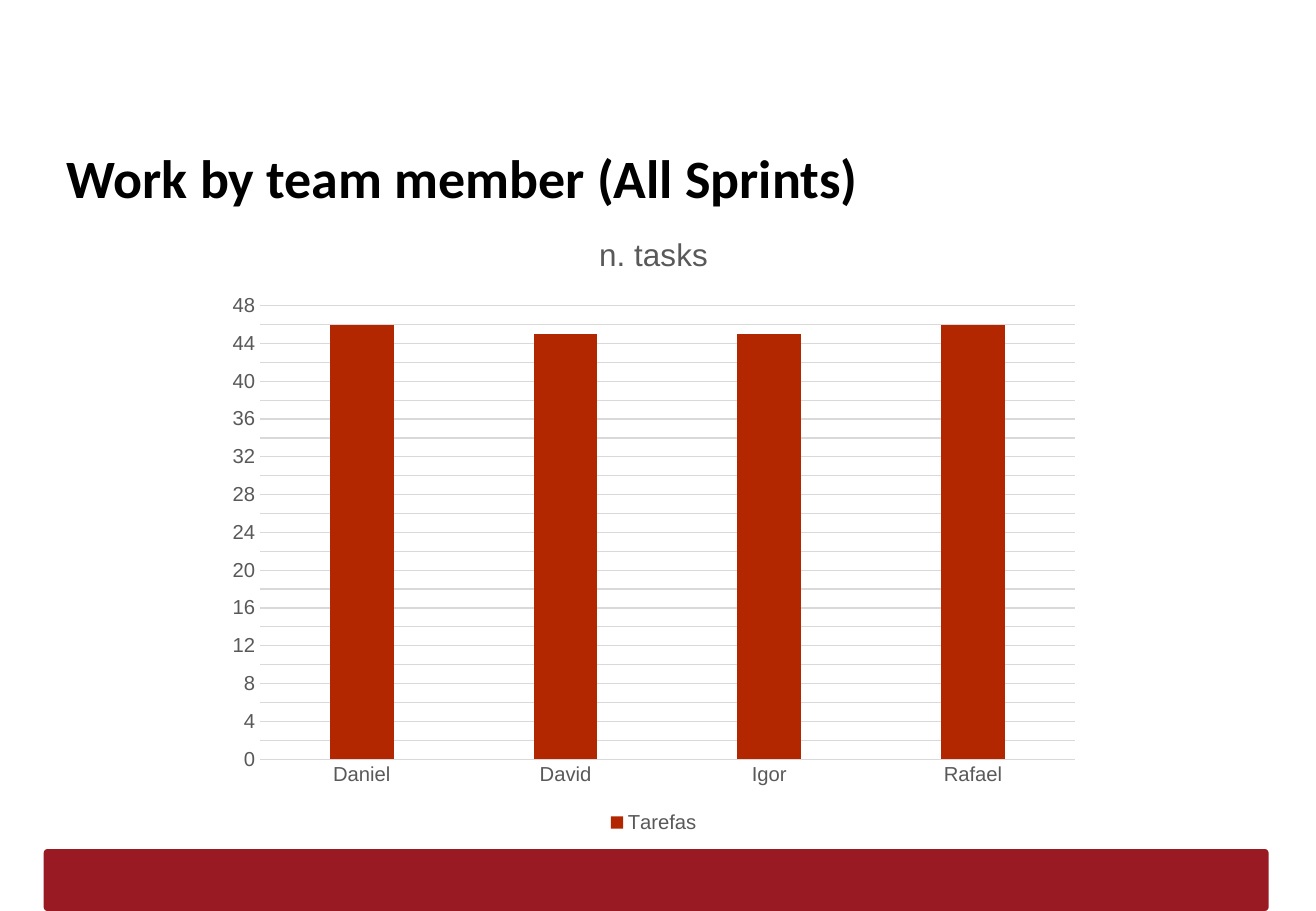
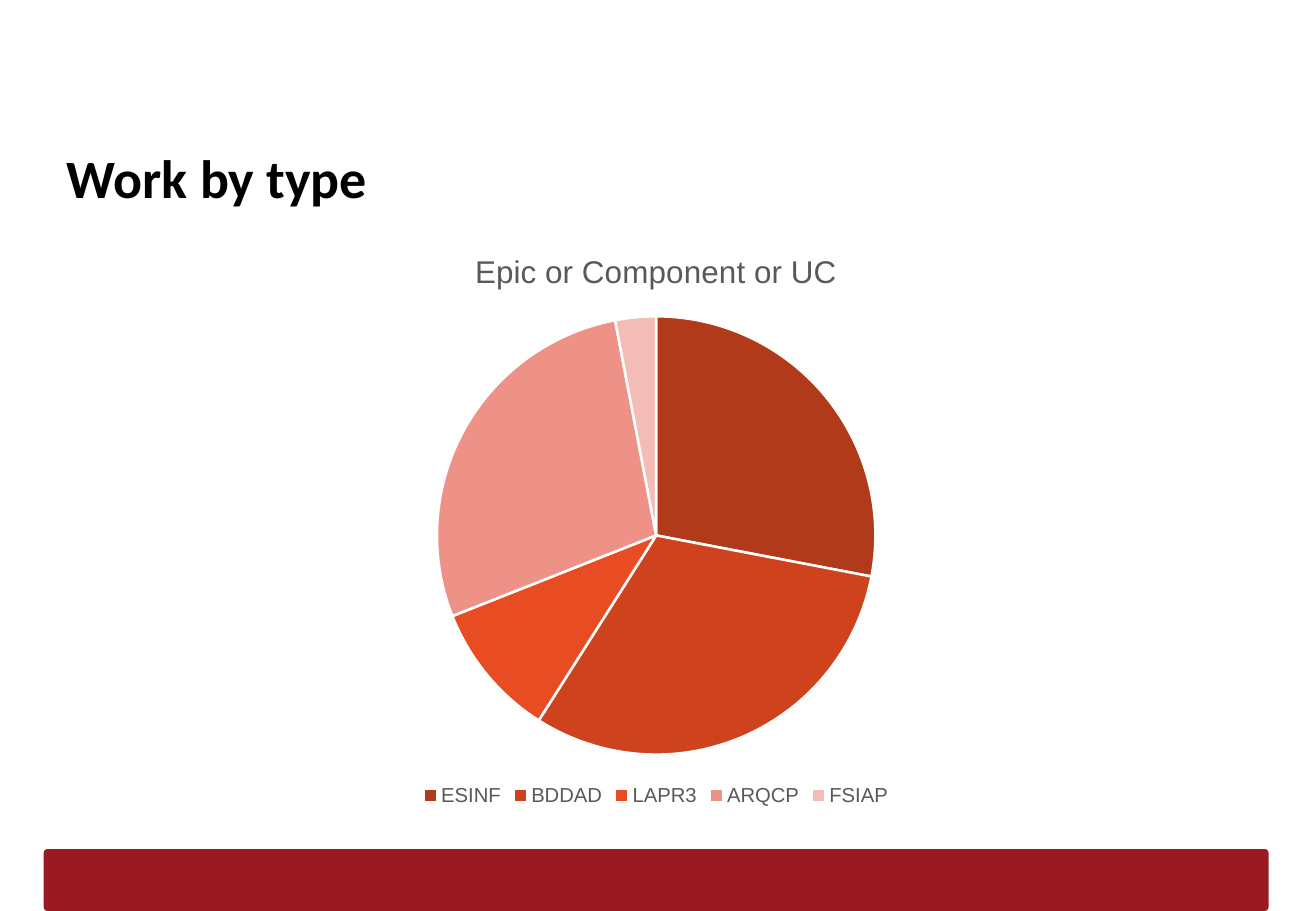
"""Build two slides that chart the team's work by member and by type."""
from dataclasses import dataclass

from pptx import Presentation
from pptx import util as u
from pptx.chart.chart import Chart
from pptx.chart.data import CategoryChartData
from pptx.dml.color import RGBColor
from pptx.enum import chart as charts, shapes, text
from pptx.slide import Slide
from pptx.text.text import Font

EMU_PER_PX = 9144
BLACK = RGBColor(0x00, 0x00, 0x00)
WHITE = RGBColor(0xFF, 0xFF, 0xFF)
BAND_RED = RGBColor(0x9A, 0x1A, 0x24)
BAR_RED = RGBColor(0xB2, 0x26, 0x00)
LABEL_GREY = RGBColor(0x59, 0x59, 0x59)
LINE_GREY = RGBColor(0xD9, 0xD9, 0xD9)
PIE_COLOURS = (
    RGBColor(0xB0, 0x3A, 0x1A),
    RGBColor(0xCE, 0x43, 0x1E),
    RGBColor(0xE8, 0x4C, 0x22),
    RGBColor(0xEE, 0x92, 0x88),
    RGBColor(0xF3, 0xBC, 0xB7),
)


@dataclass(frozen=True)
class Box:
    """A rectangle in px, at 100 px to the inch."""

    left: int
    top: int
    width: int
    height: int

    def emu(self) -> tuple[int, int, int, int]:
        """Return the rectangle in EMU."""
        return tuple(px * EMU_PER_PX for px in (self.left, self.top, self.width, self.height))


@dataclass(frozen=True)
class ChartSlide:
    """The content of one slide with a single chart."""

    title: str
    chart_title: str
    kind: charts.XL_CHART_TYPE
    box: Box
    series: str
    values: dict[str, int]


PAGE = Box(0, 0, 1083, 750)
BAND = Box(36, 699, 1008, 51)
TITLE = Box(45, 109, 989, 63)
CHART_SLIDES = (
    ChartSlide(
        "Work by team member (All Sprints)", "n. tasks",
        charts.XL_CHART_TYPE.COLUMN_CLUSTERED, Box(177, 172, 722, 518),
        "Tarefas", {"Daniel": 46, "David": 45, "Igor": 45, "Rafael": 46},
    ),
    ChartSlide(
        "Work by type", "Epic or Component or UC",
        charts.XL_CHART_TYPE.PIE, Box(179, 187, 722, 481),
        "Series 1", {"ESINF": 28, "BDDAD": 31, "LAPR3": 10, "ARQCP": 28, "FSIAP": 3},
    ),
)


def style_font(font: Font, name: str, size: float, colour: RGBColor, bold: bool = False) -> None:
    """Set the face, size, colour and weight of a font."""
    font.name = name
    font.size = u.Pt(size)
    font.bold = bold
    font.color.rgb = colour


def add_band(slide: Slide) -> None:
    """Draw the red band at the foot of the slide."""
    band = slide.shapes.add_shape(shapes.MSO_SHAPE.ROUNDED_RECTANGLE, *BAND.emu())
    band.adjustments[0] = 0.06
    band.shadow.inherit = False
    band.fill.solid()
    band.fill.fore_color.rgb = BAND_RED
    band.line.fill.background()


def set_title(slide: Slide, wording: str) -> None:
    """Place and format the title placeholder."""
    title = slide.shapes.title
    title.left, title.top, title.width, title.height = TITLE.emu()
    frame = title.text_frame
    frame.text = wording
    frame.word_wrap = True
    frame.auto_size = text.MSO_AUTO_SIZE.NONE
    frame.vertical_anchor = text.MSO_ANCHOR.TOP
    frame.margin_left = frame.margin_right = 10 * EMU_PER_PX
    frame.margin_top = frame.margin_bottom = 10 * EMU_PER_PX
    paragraph = frame.paragraphs[0]
    paragraph.alignment = text.PP_ALIGN.LEFT
    style_font(paragraph.runs[0].font, "Calibri", 32, BLACK, bold=True)


def style_columns(chart: Chart) -> None:
    """Format the columns, axes and gridlines."""
    plot = chart.plots[0]
    plot.gap_width = 219
    plot.overlap = -27
    plot.vary_by_categories = False
    fill = plot.series[0].format.fill
    fill.solid()
    fill.fore_color.rgb = BAR_RED
    value_axis = chart.value_axis
    value_axis.minimum_scale, value_axis.maximum_scale, value_axis.major_unit = 0, 48, 2
    value_axis.has_major_gridlines = True
    value_axis.format.line.fill.background()
    for axis in (chart.category_axis, value_axis):
        axis.major_tick_mark = axis.minor_tick_mark = charts.XL_TICK_MARK.NONE
        style_font(axis.tick_labels.font, "Arial", 12, LABEL_GREY)
    for line in (chart.category_axis.format.line, value_axis.major_gridlines.format.line):
        line.color.rgb = LINE_GREY
        line.width = u.Pt(0.75)


def style_pie(chart: Chart) -> None:
    """Colour the pie's slices and part them with white lines."""
    plot = chart.plots[0]
    plot.vary_by_categories = True
    for index, colour in enumerate(PIE_COLOURS):
        slice_format = plot.series[0].points[index].format
        slice_format.fill.solid()
        slice_format.fill.fore_color.rgb = colour
        slice_format.line.color.rgb = WHITE
        slice_format.line.width = u.Pt(1.5)


def add_chart(slide: Slide, content: ChartSlide) -> None:
    """Add the chart with its title and legend."""
    data = CategoryChartData()
    data.categories = list(content.values)
    data.add_series(content.series, list(content.values.values()))
    chart = slide.shapes.add_chart(content.kind, *content.box.emu(), data).chart
    style_font(chart.font, "Arial", 10, BLACK)
    chart.has_title = True
    chart.chart_title.include_in_layout = False
    frame = chart.chart_title.text_frame
    frame.text = content.chart_title
    style_font(frame.paragraphs[0].runs[0].font, "Arial", 18.6, LABEL_GREY)
    chart.has_legend = True
    chart.legend.position = charts.XL_LEGEND_POSITION.BOTTOM
    chart.legend.include_in_layout = False
    style_font(chart.legend.font, "Arial", 12, LABEL_GREY)
    if content.kind == charts.XL_CHART_TYPE.PIE:
        style_pie(chart)
    else:
        style_columns(chart)


def main() -> None:
    """Build and save the presentation."""
    presentation = Presentation()
    _, _, presentation.slide_width, presentation.slide_height = PAGE.emu()
    for content in CHART_SLIDES:
        slide = presentation.slides.add_slide(presentation.slide_layouts[5])
        add_band(slide)
        set_title(slide, content.title)
        add_chart(slide, content)
    presentation.save("out.pptx")


if __name__ == "__main__":
    main()
